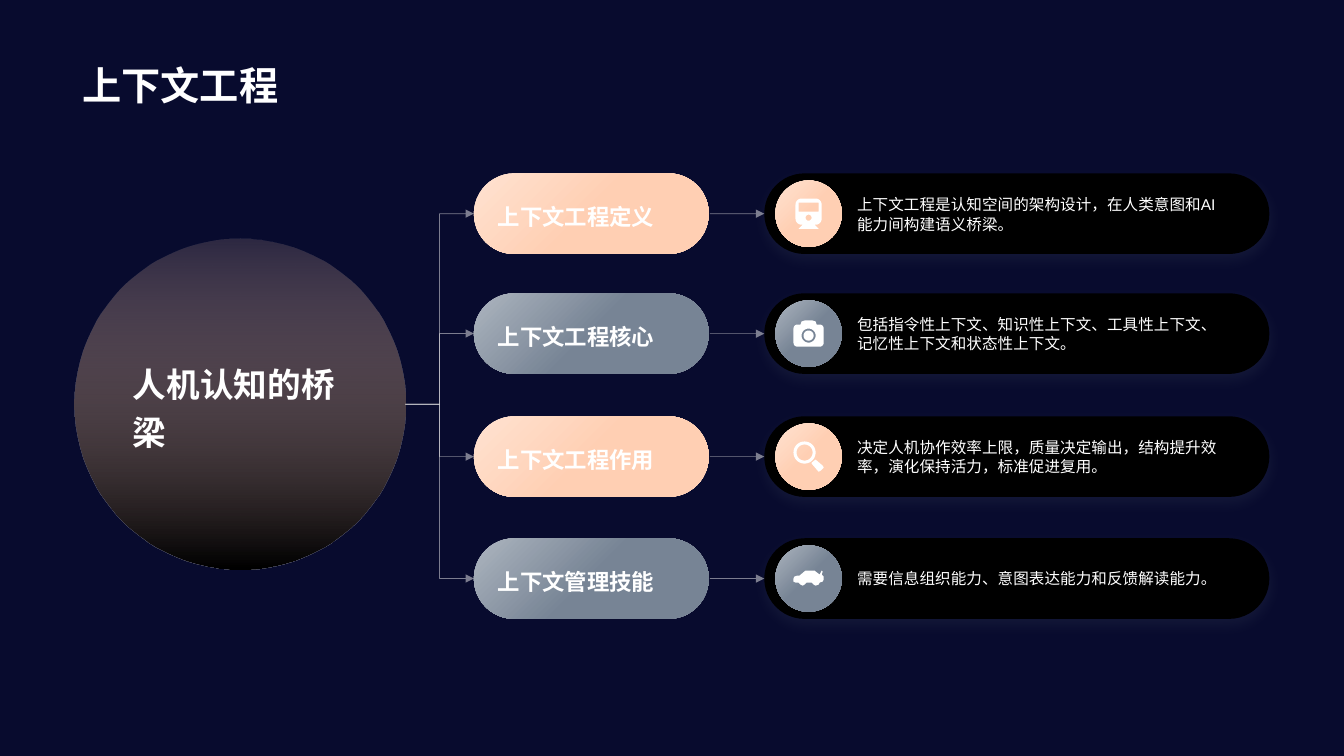
import dataclasses
import math
import typing

import lxml.etree
import pptx
import pptx.dml.color
import pptx.enum.shapes
import pptx.enum.text
import pptx.oxml.ns
import pptx.util

Inches = pptx.util.Inches
Pt = pptx.util.Pt
Shapes = pptx.enum.shapes.MSO_SHAPE
Connectors = pptx.enum.shapes.MSO_CONNECTOR
Anchor = pptx.enum.text.MSO_ANCHOR
Point = tuple[float, float]
Contour = list[Point]
Box = tuple[float, float, float, float]


@dataclasses.dataclass(frozen=True)
class Gradient:
    start: str
    end: str
    end_position: float
    angle: int
    start_opacity: int = 100


@dataclasses.dataclass(frozen=True)
class Theme:
    font: str = "Arial"
    background: str = "080B2E"
    text: str = "FFFFFF"
    panel: str = "000000"
    shadow: str = "586371"
    line: str = "F0F0F0"
    peach: Gradient = Gradient("FFE2D1", "FFCFB3", 0.5, 45)
    slate: Gradient = Gradient("ADB5BF", "778495", 0.5, 45)
    hub: Gradient = Gradient("FFCFB3", "000000", 1, 90, 15)
    title_size: float = 28
    hub_size: float = 24
    label_size: float = 16
    detail_size: float = 11.1


THEME = Theme()


@dataclasses.dataclass(frozen=True)
class Topic:
    label: str
    detail: str
    center: float
    gradient: Gradient
    icon: list[Contour]


def circle(x: float, y: float, radius: float) -> Contour:
    angles = [math.tau * step / 36 for step in range(36)]
    return [(x + radius * math.cos(a), y + radius * math.sin(a)) for a in angles]


def rectangle(left: float, top: float, right: float, bottom: float, radius: float) -> Contour:
    """Outline of a rectangle with round corners, clockwise from the right."""
    corners = [(right - radius, bottom - radius), (left + radius, bottom - radius),
               (left + radius, top + radius), (right - radius, top + radius)]
    return [(x + radius * math.cos(a), y + radius * math.sin(a))
            for turn, (x, y) in enumerate(corners)
            for a in [math.pi / 2 * (turn + step / 6) for step in range(7)]]


TRAIN = [
    rectangle(-0.13, -0.15, 0.13, 0.11, 0.06),
    [(-0.1, -0.11), (0.1, -0.11), (0.1, -0.02), (-0.1, -0.02)],
    circle(0, 0.04, 0.03),
    [(-0.06, 0.11), (0.06, 0.11), (0.1, 0.15), (-0.1, 0.15)],
]
CAMERA = [
    rectangle(-0.15, -0.09, 0.15, 0.13, 0.04),
    [(-0.08, -0.09), (-0.07, -0.12), (-0.04, -0.13), (0.04, -0.13), (0.07, -0.12), (0.08, -0.09)],
    circle(0, 0.02, 0.07),
    circle(0, 0.02, 0.05),
]
MAGNIFIER = [
    circle(-0.04, -0.04, 0.11),
    circle(-0.04, -0.04, 0.08),
    [(0.07, 0.03), (0.14, 0.09), (0.15, 0.11), (0.12, 0.14), (0.1, 0.15), (0.09, 0.14),
     (0.03, 0.07), (0.03, 0.06)],
]
CAR = [[
    (0.13, -0.04), (0.14, -0.07), (0.13, -0.08), (0.11, -0.04), (0.07, -0.07), (0.06, -0.08),
    (-0.03, -0.08), (-0.09, -0.03), (-0.11, -0.03), (-0.14, -0.02), (-0.15, 0), (-0.15, 0.03),
    (-0.13, 0.04), (-0.1, 0.04), (-0.08, 0.06), (-0.06, 0.07), (-0.04, 0.06), (-0.02, 0.04),
    (0.03, 0.04), (0.05, 0.06), (0.07, 0.07), (0.1, 0.06), (0.11, 0.04), (0.14, 0.03),
    (0.15, 0.01), (0.15, -0.02),
]]

TOPICS = [
    Topic("上下文工程定义", "上下文工程是认知空间的架构设计，在人类意图和AI能力间构建语义桥梁。",
          2.12, THEME.peach, TRAIN),
    Topic("上下文工程核心", "包括指令性上下文、知识性上下文、工具性上下文、记忆性上下文和状态性上下文。",
          3.31, THEME.slate, CAMERA),
    Topic("上下文工程作用", "决定人机协作效率上限，质量决定输出，结构提升效率，演化保持活力，标准促进复用。",
          4.53, THEME.peach, MAGNIFIER),
    Topic("上下文管理技能", "需要信息组织能力、意图表达能力和反馈解读能力。",
          5.74, THEME.slate, CAR),
]


def rgb(color: str) -> pptx.dml.color.RGBColor:
    return pptx.dml.color.RGBColor.from_string(color)


def add_element(parent: typing.Any, tag: str, **attributes: object) -> typing.Any:
    element = lxml.etree.SubElement(parent, pptx.oxml.ns.qn(tag))
    for name, value in attributes.items():
        element.set(name, str(value))
    return element


def set_opacity(parent: typing.Any, percent: int) -> None:
    """Make the first colour found under parent translucent."""
    add_element(parent.find(".//" + pptx.oxml.ns.qn("a:srgbClr")), "a:alpha", val=percent * 1000)


def set_fill(shape: typing.Any, paint: str | Gradient) -> None:
    shape.shadow.inherit = False
    shape.line.fill.background()
    if isinstance(paint, str):
        shape.fill.solid()
        shape.fill.fore_color.rgb = rgb(paint)
        return
    shape.fill.gradient()
    shape.fill.gradient_angle = 360 - paint.angle
    colors = [(0, paint.start), (paint.end_position, paint.end)]
    for stop, (position, color) in zip(shape.fill.gradient_stops, colors):
        stop.position = position
        stop.color.rgb = rgb(color)
    if paint.start_opacity < 100:
        set_opacity(shape.element.spPr, paint.start_opacity)


def add_preset(slide: typing.Any, kind: Shapes, box: Box, paint: str | Gradient) -> typing.Any:
    shape = slide.shapes.add_shape(kind, *map(Inches, box))
    if kind == Shapes.ROUNDED_RECTANGLE:
        shape.adjustments[0] = 0.5
    set_fill(shape, paint)
    return shape


def write(shape: typing.Any, text: str, size: float, bold: bool = True, spacing: float = 1.2,
          anchor: Anchor = Anchor.MIDDLE, margins: Point = (0.1, 0.05)) -> None:
    frame = shape.text_frame
    across, down = map(Inches, margins)
    frame_format = {"word_wrap": True, "vertical_anchor": anchor, "margin_left": across,
                    "margin_right": across, "margin_top": down, "margin_bottom": down}
    for name, value in frame_format.items():
        setattr(frame, name, value)
    paragraph = frame.paragraphs[0]
    paragraph.alignment = pptx.enum.text.PP_ALIGN.LEFT
    paragraph.line_spacing = spacing
    run = paragraph.add_run()
    run.text = text
    for name, value in {"name": THEME.font, "size": Pt(size), "bold": bold}.items():
        setattr(run.font, name, value)
    run.font.color.rgb = rgb(THEME.text)


def add_arrow(slide: typing.Any, kind: Connectors, start: Point, end: Point) -> None:
    arrow = slide.shapes.add_connector(kind, *map(Inches, start + end))
    arrow.line.color.rgb = rgb(THEME.line)
    arrow.line.width = Pt(0.5)
    set_opacity(arrow.element.spPr, 50)
    add_element(arrow.line._get_or_add_ln(), "a:tailEnd", type="triangle")
    add_element(arrow.element.spPr, "a:effectLst")


def add_icon(slide: typing.Any, contours: list[Contour], x: float, y: float) -> None:
    outlines = [[(Inches(x + dx), Inches(y + dy)) for dx, dy in contour] for contour in contours]
    builder = slide.shapes.build_freeform(*outlines[0][0])
    for number, outline in enumerate(outlines):
        if number:
            builder.move_to(*outline[0])
        builder.add_line_segments(outline[1:], close=True)
    set_fill(builder.convert_to_shape(), THEME.text)


def add_topic(slide: typing.Any, topic: Topic) -> None:
    y = topic.center
    label = add_preset(slide, Shapes.ROUNDED_RECTANGLE, (4.7, y - 0.4, 2.33, 0.8), topic.gradient)
    write(label, topic.label, THEME.label_size, margins=(0.12, 0.12))
    panel = add_preset(slide, Shapes.ROUNDED_RECTANGLE, (7.58, y - 0.4, 5.01, 0.8), THEME.panel)
    effects = panel.element.spPr.find(pptx.oxml.ns.qn("a:effectLst"))
    shadow = add_element(effects, "a:outerShdw", blurRad=Pt(10), dist=Pt(4), dir=90 * 60000,
                         algn="t", rotWithShape=0)
    add_element(shadow, "a:srgbClr", val=THEME.shadow)
    set_opacity(shadow, 15)
    detail = slide.shapes.add_textbox(*map(Inches, (8.44, y - 0.26, 3.79, 0.51)))
    write(detail, topic.detail, THEME.detail_size, False, 1.07, margins=(0.06, 0.03))
    add_preset(slide, Shapes.OVAL, (7.69, y - 0.33, 0.66, 0.66), topic.gradient)
    add_icon(slide, topic.icon, 8.02, y)
    add_arrow(slide, Connectors.STRAIGHT, (7.04, y), (7.58, y))
    add_arrow(slide, Connectors.ELBOW, (4.02, 4.01), (4.7, y))


def main() -> None:
    presentation = pptx.Presentation()
    presentation.slide_width, presentation.slide_height = Inches(13.33), Inches(7.5)
    slide = presentation.slides.add_slide(presentation.slide_layouts[6])
    slide.background.fill.solid()
    slide.background.fill.fore_color.rgb = rgb(THEME.background)
    title = slide.shapes.add_textbox(*map(Inches, (0.72, 0.14, 11.88, 0.98)))
    write(title, "上下文工程", THEME.title_size, spacing=1, anchor=Anchor.BOTTOM)
    hub = add_preset(slide, Shapes.OVAL, (0.74, 2.37, 3.28, 3.28), THEME.hub)
    write(hub, "人机认知的桥梁", THEME.hub_size)
    for topic in TOPICS:
        add_topic(slide, topic)
    presentation.save("out.pptx")


if __name__ == "__main__":
    main()
